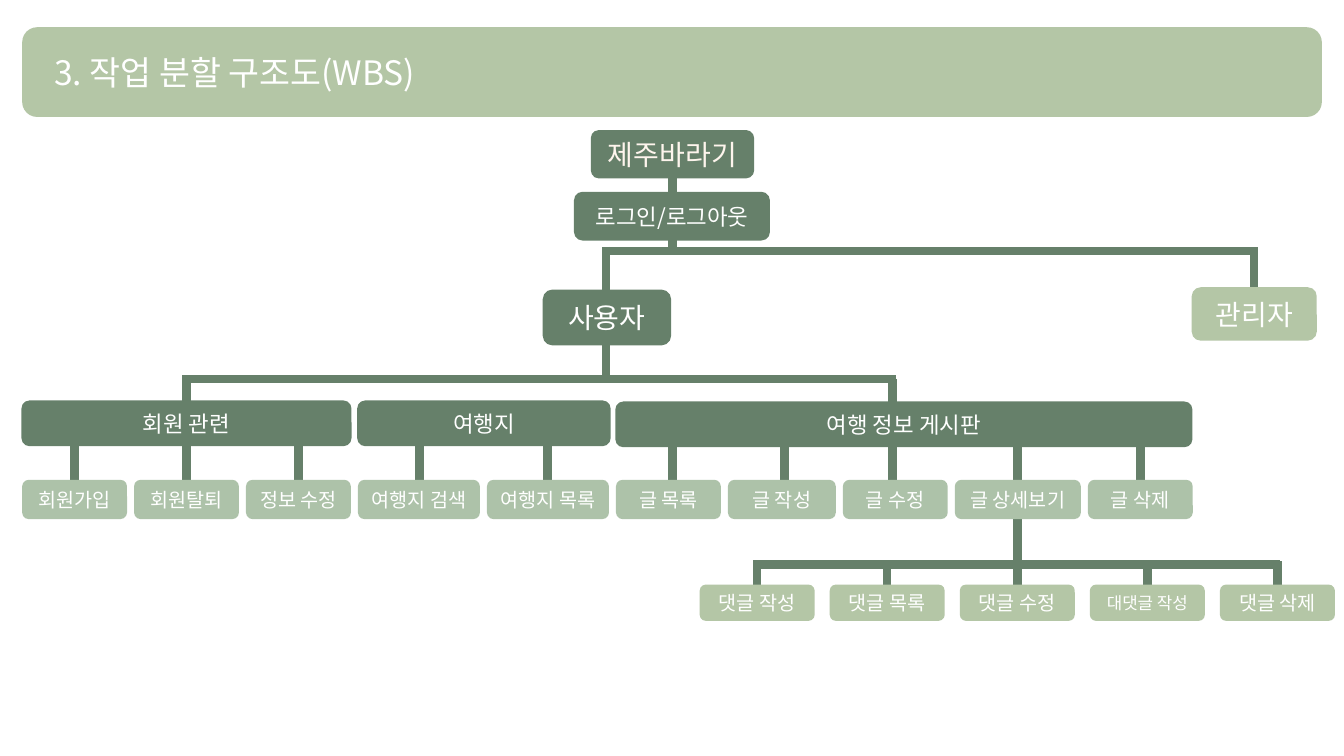
"""Build the work breakdown structure slide."""
from lxml.etree import SubElement
from pptx import Presentation
from pptx.dml.color import RGBColor
from pptx.enum.shapes import MSO_CONNECTOR, MSO_SHAPE
from pptx.enum.text import MSO_ANCHOR, PP_ALIGN
from pptx.oxml.ns import qn
from pptx.util import Inches, Pt

FONT = "Noto Sans CJK KR"
COLORS = {
    "dark": "66806A",
    "sage": "B4C6A6",
    "mint": "ADC2A9",
    "white": "FFFFFF",
    "cream": "FEF5ED",
}


def add_line(x1, y1, x2, y2):
    line = slide.shapes.add_connector(
        MSO_CONNECTOR.STRAIGHT, Inches(x1), Inches(y1), Inches(x2), Inches(y2))
    line.line.color.rgb = RGBColor.from_string(COLORS["dark"])
    line.line.width = Pt(6)
    SubElement(line._element.spPr, qn("a:effectLst"))


def add_box(text, left, top, width, height, fill, size,
            edge=False, ink="white", kind=MSO_SHAPE.ROUNDED_RECTANGLE):
    box = slide.shapes.add_shape(
        kind, Inches(left), Inches(top), Inches(width), Inches(height))
    box.shadow.inherit = False
    box.fill.solid()
    box.fill.fore_color.rgb = RGBColor.from_string(COLORS[fill])
    if edge:
        box.line.color.rgb = RGBColor.from_string(COLORS[fill])
        box.line.width = Pt(1)
    else:
        box.line.fill.background()
    if text:
        frame = box.text_frame
        frame.vertical_anchor = MSO_ANCHOR.MIDDLE
        para = frame.paragraphs[0]
        para.text = text
        para.alignment = PP_ALIGN.CENTER
        para.font.size = Pt(size)
        para.font.name = FONT
        para.font.color.rgb = RGBColor.from_string(COLORS[ink])
        SubElement(para._p.pPr.find(qn("a:defRPr")), qn("a:ea"), typeface=FONT)
    return box


deck = Presentation()
deck.slide_width = Inches(13.33)
deck.slide_height = Inches(7.5)
slide = deck.slides.add_slide(deck.slide_layouts[6])

leaves = [
    ("회원가입", 1.04, 0.74),
    ("회원탈퇴", 1.04, 1.85),
    ("정보 수정", 1.04, 2.96),
    ("여행지 검색", 1.21, 4.16),
    ("여행지 목록", 1.21, 5.43),
    ("글 목록", 1.04, 6.67),
    ("글 작성", 1.07, 7.78),
    ("글 수정", 1.04, 8.85),
    ("글 상세보기", 1.25, 10.09),
    ("글 삭제", 1.04, 11.31),
]
replies = [
    ("댓글 작성", 14),
    ("댓글 목록", 14),
    ("댓글 수정", 14),
    ("대댓글 작성", 12),
    ("댓글 삭제", 14),
]
step = 1.29

for name, width, stem in leaves:
    add_line(stem, 4.2, stem, 4.95)
for index in range(len(replies)):
    stem = 7.51 + index * step
    add_line(stem, 5.57, stem, 6.01)
for stem, top, end in [
    (6.67, 1.36, 2.49),
    (6.01, 2.45, 3.76),
    (12.44, 2.47, 3.31),
    (1.85, 3.76, 4.2),
    (8.85, 3.76, 4.2),
    (10.09, 4.95, 5.6),
]:
    add_line(stem, top, stem, end)
for left, right, level in [(6.01, 12.48, 2.49), (1.81, 8.89, 3.76), (7.47, 12.7, 5.6)]:
    add_line(left, level, right, level)

add_box("", 0.22, 0.27, 12.89, 0.89, "sage", 24)
title = add_box("3. 작업 분할 구조도(WBS)", 0.44, 0.47, 4.05, 0.5, "sage", 24,
                kind=MSO_SHAPE.RECTANGLE)
title.text_frame.word_wrap = False
title.text_frame.paragraphs[0].alignment = PP_ALIGN.LEFT

add_box("제주바라기", 5.86, 1.29, 1.62, 0.48, "dark", 20, ink="cream")
add_box("로그인/로그아웃", 5.7, 1.91, 1.93, 0.47, "dark", 16, edge=True)
add_box("사용자", 5.39, 2.88, 1.26, 0.54, "dark", 20, edge=True)
add_box("관리자", 11.82, 2.85, 1.24, 0.53, "sage", 20)

for name, left, top, width in [
    ("회원 관련", 0.22, 3.98, 3.26),
    ("여행지", 3.55, 3.98, 2.5),
    ("여행 정보 게시판", 6.11, 3.99, 5.71),
]:
    add_box(name, left, top, width, 0.44, "dark", 16, edge=True)

left = 0.22
for name, width, stem in leaves:
    add_box(name, left, 4.76, width, 0.39, "mint", 14)
    left += width + 0.07

for index, (name, size) in enumerate(replies):
    add_box(name, 6.94 + index * step, 5.8, 1.14, 0.36, "sage", size)

deck.save("out.pptx")
